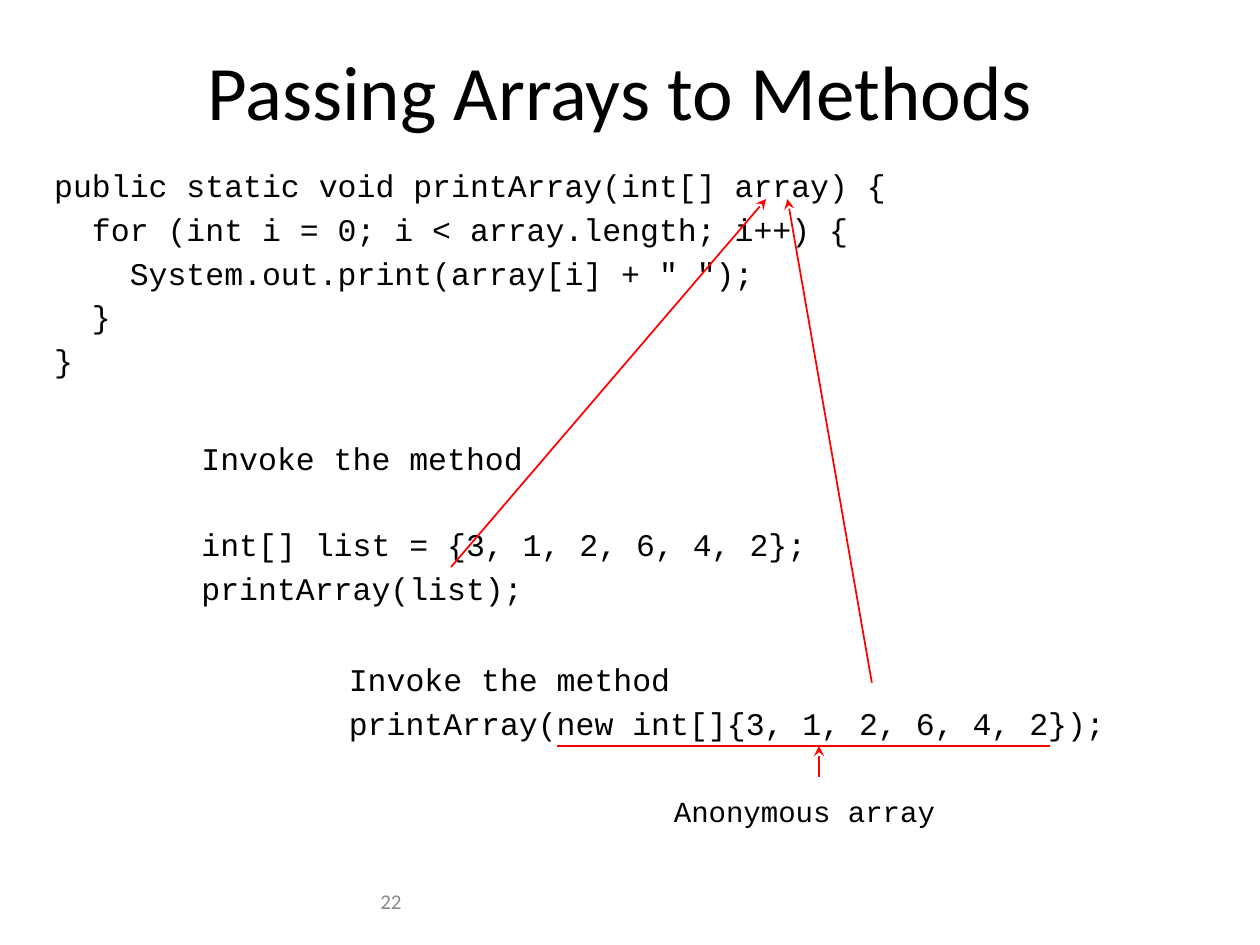
from pptx import Presentation
from pptx.dml.color import RGBColor
from pptx.enum.shapes import MSO_CONNECTOR as Conn
from pptx.enum.text import MSO_ANCHOR as Anchor, MSO_AUTO_SIZE as Auto, PP_ALIGN as Align
from pptx.oxml.ns import qn
from pptx.util import Inches, Pt
from lxml.etree import SubElement

CODE = [
    "public static void printArray(int[] array) {",
    "  for (int i = 0; i < array.length; i++) {",
    '    System.out.print(array[i] + " ");',
    "  }",
    "}",
]
LIST = ["Invoke the method", "int[] list = {3, 1, 2, 6, 4, 2};", "printArray(list);"]
ANON = ["Invoke the method", "printArray(new int[]{3, 1, 2, 6, 4, 2});"]
RED = "FF0000"


def color(code):
    """Turn a hex string into a colour."""
    return RGBColor.from_string(code)


def place(shape, box):
    """Move a shape to left, top, width and height in inches."""
    shape.left, shape.top, shape.width, shape.height = map(Inches, box)


def write(shape, lines, font="Courier New", size=18, ink="000000", align=Align.LEFT,
          anchor=Anchor.TOP, lead=None, gap=0, top=0.05, wide=None):
    """Fill a shape with formatted lines; wide maps a line to its own space before."""
    frame = shape.text_frame
    frame.word_wrap = True
    frame.auto_size = Auto.NONE
    frame.vertical_anchor = anchor
    frame.margin_left = frame.margin_right = Inches(0.1)
    frame.margin_top, frame.margin_bottom = Inches(top), Inches(0.05)
    for i, line in enumerate(lines):
        para = frame.paragraphs[0] if i == 0 else frame.add_paragraph()
        para.alignment = align
        para.line_spacing = lead
        para.space_before = Pt((wide or {}).get(i, gap) if i else 0)
        props = para._p.get_or_add_pPr()
        props.set("marL", "0")
        props.set("indent", "0")
        SubElement(props, qn("a:buNone"))
        run = para.add_run()
        run.text = line
        run.font.name, run.font.size = font, Pt(size)
        run.font.color.rgb = color(ink)


def label(slide, box, lines, **form):
    """Add a text box with formatted lines."""
    shape = slide.shapes.add_textbox(*map(Inches, box))
    write(shape, lines, **form)


def rule(slide, start, end, arrow=True):
    """Draw a red line, with an arrowhead at its end if asked."""
    line = slide.shapes.add_connector(Conn.STRAIGHT, *map(Inches, start + end))
    line.line.color.rgb = color(RED)
    line.line.width = Pt(1)
    if arrow:
        SubElement(line.line._get_or_add_ln(), qn("a:tailEnd"), type="stealth")
    SubElement(line._element.spPr, qn("a:effectLst"))


def main():
    """Build the slide and save it."""
    deck = Presentation()
    deck.slide_width, deck.slide_height = Inches(10), Inches(7.5)
    slide = deck.slides.add_slide(deck.slide_layouts[1])
    title, body = slide.placeholders
    code = dict(lead=0.9, gap=5.6, top=0.1)

    place(title, (0.67, 0.25, 8.5, 0.92))
    write(title, ["Passing Arrays to Methods"], font="Calibri", size=44,
          align=Align.CENTER, anchor=Anchor.MIDDLE)
    place(body, (0.33, 1.25, 7, 1.83))
    write(body, CODE, **code)

    label(slide, (1.5, 3.42, 7.58, 1.42), LIST, wide={1: 29.5}, **code)
    label(slide, (2.67, 5.17, 7.58, 1.42), ANON, **code)
    label(slide, (5.25, 6.25, 2.58, 0.33), ["Anonymous array"], size=16.6,
          lead=0.8, top=0.1)
    label(slide, (2.92, 6.95, 3.67, 0.4), ["22"], font="Calibri", size=12,
          ink="898989", anchor=Anchor.MIDDLE)

    rule(slide, (3.58, 4.5), (6.08, 1.58))
    rule(slide, (6.92, 5.42), (6.25, 1.58))
    rule(slide, (6.5, 6.17), (6.5, 5.92))
    rule(slide, (4.42, 5.92), (8.33, 5.92), arrow=False)
    deck.save("out.pptx")


if __name__ == "__main__":
    main()
